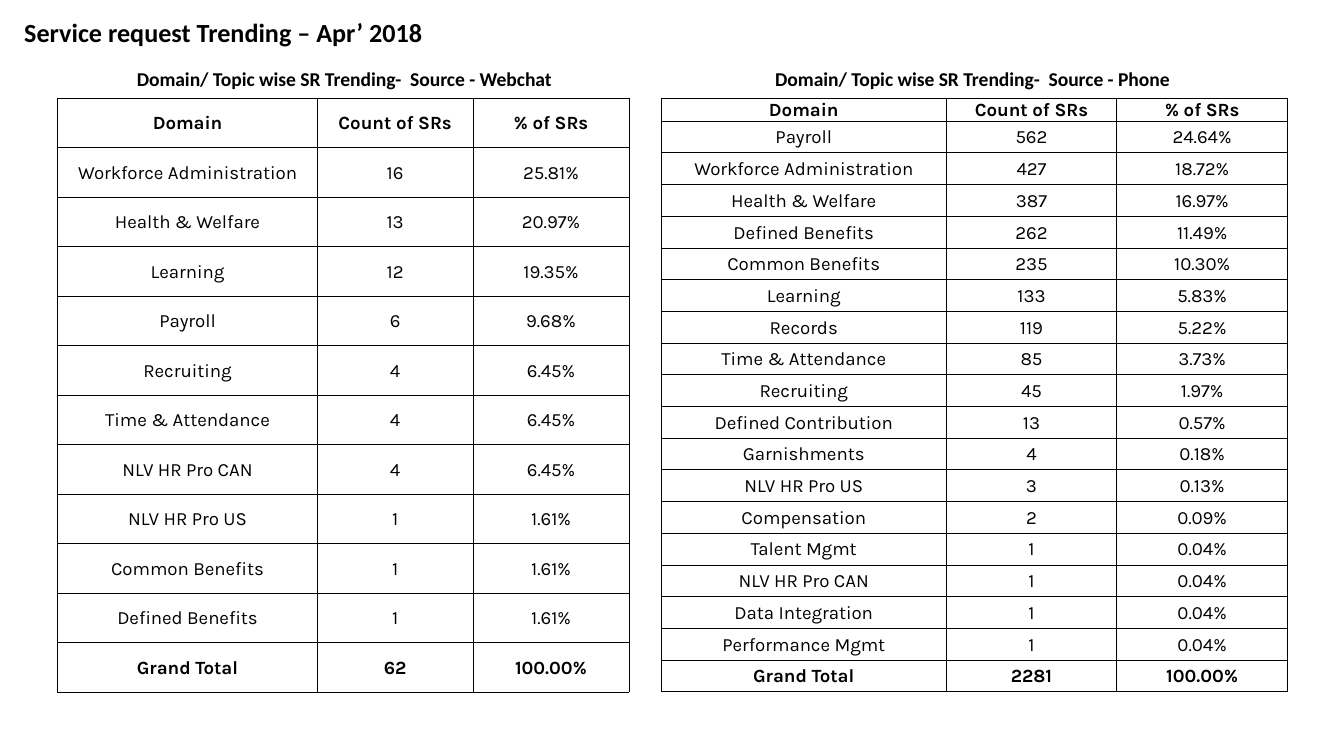
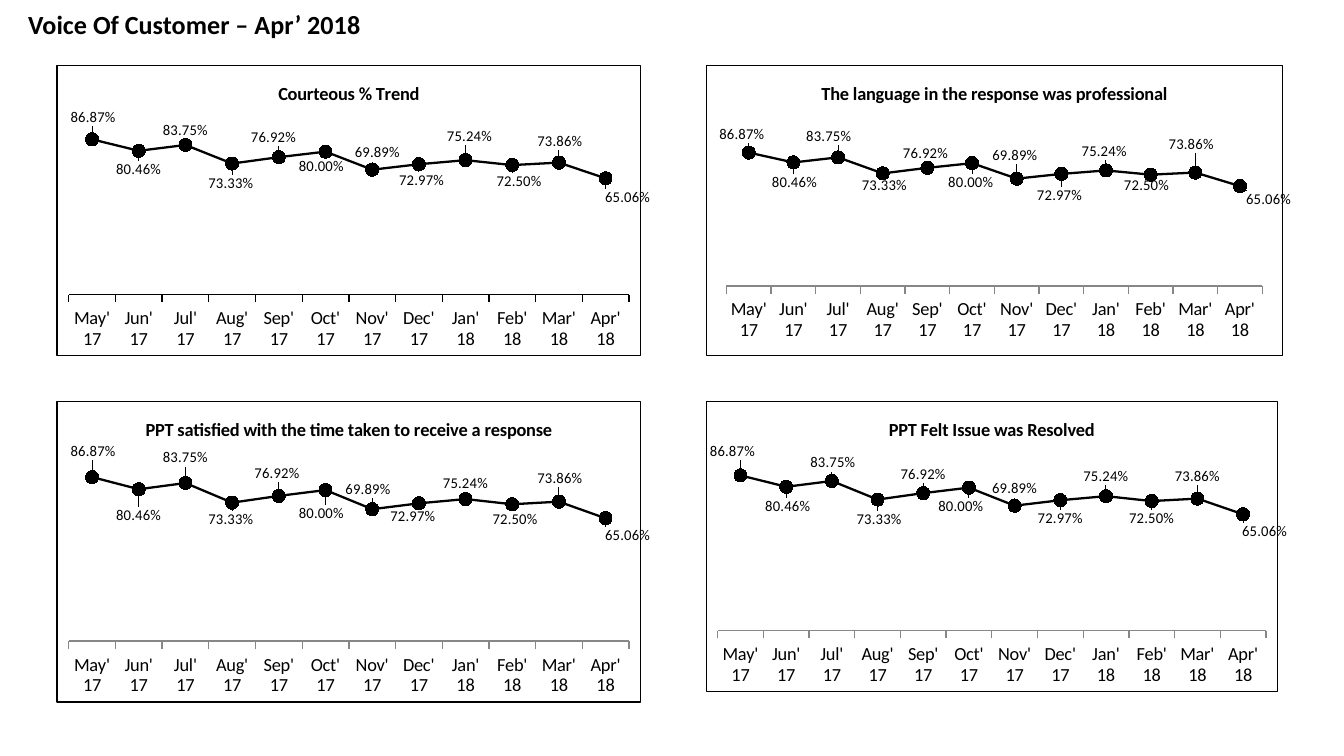
"""Build the April 2018 service request tables and customer feedback trends."""
import pptx
import pptx.chart.data
import pptx.dml.color
import pptx.enum.chart
import pptx.enum.text
import pptx.oxml
import pptx.oxml.ns
import pptx.util

Inches, Pt = pptx.util.Inches, pptx.util.Pt
ChartType = pptx.enum.chart.XL_CHART_TYPE
BLACK = pptx.dml.color.RGBColor(0, 0, 0)
WIDTH = 10
HEIGHT = WIDTH * 9 / 16
HEADING_FONT, TABLE_FONT = "Calibri", "Karla"

HEADER = ("Domain", "Count of SRs", "% of SRs")
PHONE = [
    ("Payroll", "562", "24.64%"),
    ("Workforce Administration", "427", "18.72%"),
    ("Health & Welfare", "387", "16.97%"),
    ("Defined Benefits", "262", "11.49%"),
    ("Common Benefits", "235", "10.30%"),
    ("Learning", "133", "5.83%"),
    ("Records", "119", "5.22%"),
    ("Time & Attendance", "85", "3.73%"),
    ("Recruiting", "45", "1.97%"),
    ("Defined Contribution", "13", "0.57%"),
    ("Garnishments", "4", "0.18%"),
    ("NLV HR Pro US", "3", "0.13%"),
    ("Compensation", "2", "0.09%"),
    ("Talent Mgmt", "1", "0.04%"),
    ("NLV HR Pro CAN", "1", "0.04%"),
    ("Data Integration", "1", "0.04%"),
    ("Performance Mgmt", "1", "0.04%"),
    ("Grand Total", "2281", "100.00%"),
]
WEBCHAT = [
    ("Workforce Administration", "16", "25.81%"),
    ("Health & Welfare", "13", "20.97%"),
    ("Learning", "12", "19.35%"),
    ("Payroll", "6", "9.68%"),
    ("Recruiting", "4", "6.45%"),
    ("Time & Attendance", "4", "6.45%"),
    ("NLV HR Pro CAN", "4", "6.45%"),
    ("NLV HR Pro US", "1", "1.61%"),
    ("Common Benefits", "1", "1.61%"),
    ("Defined Benefits", "1", "1.61%"),
    ("Grand Total", "62", "100.00%"),
]
TABLE_TOP, TABLE_HEIGHT = 0.73, 4.42
SOURCES = [
    {"name": "Phone", "rows": PHONE, "left": 4.92, "columns": (2.12, 1.27, 1.27),
     "header_height": 0.09, "body_height": 4.25, "caption_left": 5.67},
    {"name": "Webchat", "rows": WEBCHAT, "left": 0.43, "columns": (1.93, 1.16, 1.16),
     "header_height": 0.37, "body_height": 4.05, "caption_left": 0.92},
]

MONTHS = [f"{month}' {year}" for year, months in
          (("17", "May Jun Jul Aug Sep Oct Nov Dec"), ("18", "Jan Feb Mar Apr"))
          for month in months.split()]
SCORES = (0.8687, 0.8046, 0.8375, 0.7333, 0.7692, 0.8,
          0.6989, 0.7297, 0.7524, 0.725, 0.7386, 0.6506)
LEFT, RIGHT, UPPER, LOWER = 0.42, 5.25, 0.48, 2.98
TRENDS = [
    {"title": "Courteous % Trend", "kind": ChartType.LINE_MARKERS,
     "box": (LEFT, UPPER, 4.42, 2.17), "axis_color": BLACK,
     "label_shifts": [(0.2, -7.5), (0, 6.5), (0, -4.8), (-0.2, 6.8), (-0.9, -6.8), (-0.7, 5.1),
                      (0.9, -5.8), (0.5, 5.5), (0.7, -8.2), (1.2, 5.8), (0.2, -7.2), (3.8, 6.5)]},
    {"title": "The language in the response was professional",
     "kind": ChartType.LINE_MARKERS_STACKED,
     "box": (RIGHT, UPPER, 4.36, 2.17), "plot": (0.035, 0.232, 0.93, 0.529),
     "label_shifts": [(-1.2, -6.2), (0.2, 6.8), (-1.6, -7.2), (0.3, 4.1), (-0.3, -4.8), (-0.2, 6.8),
                      (-0.3, -7.9), (-0.3, 7.5), (-0.3, -6.5), (-0.7, 3.8), (-0.7, -9.6), (5, 4.5)]},
    {"title": "PPT satisfied with the time taken to receive a response",
     "kind": ChartType.LINE_MARKERS_STACKED, "box": (LEFT, LOWER, 4.42, 2.25),
     "label_shifts": [(0.2, -8.6), (0, 8.6), (0, -8.3), (-0.2, 5.6), (-0.3, -7.6), (-0.7, 7.9),
                      (-0.7, -6.6), (-1, 4.3), (0, -5.3), (0.5, 5), (0.2, -7.6), (3.8, 5.6)]},
    {"title": "PPT Felt Issue was Resolved",
     "kind": ChartType.LINE_MARKERS_STACKED, "box": (RIGHT, LOWER, 4.33, 2.17),
     "label_shifts": [(-1.4, -8.2), (0.3, 6.9), (0.2, -6.2), (0.3, 6.9), (0, -6.5), (-1.4, 6.5),
                      (0, -5.8), (0, 6.2), (0, -6.9), (0, 6.2), (0, -7.6), (3.8, 5.8)]},
]
NO_LEADER_LINES = (
    f'<c:extLst {pptx.oxml.ns.nsdecls("c")}><c:ext uri="{{CE6537A1-D6FC-4f65-9D91-7224C49458BB}}" '
    'xmlns:c15="http://schemas.microsoft.com/office/drawing/2012/chart">'
    '<c15:showLeaderLines val="0"/></c:ext></c:extLst>')


def style_font(font, size, bold=False, name=HEADING_FONT):
    font.size, font.bold, font.name = Pt(size), bold, name
    font.color.rgb = BLACK


def outline(tag, points):
    return pptx.oxml.parse_xml(
        f'<{tag} {pptx.oxml.ns.nsdecls("a")} w="{Pt(points)}"><a:solidFill>'
        f'<a:srgbClr val="{BLACK}"/></a:solidFill></{tag}>')


def add_titled_slide(deck, title, box, inset, line_spacing=None):
    slide = deck.slides.add_slide(deck.slide_layouts[5])
    heading = slide.shapes.title
    heading.left, heading.top, heading.width, heading.height = map(Inches, box)
    frame = heading.text_frame
    frame.text = title
    frame.vertical_anchor = pptx.enum.text.MSO_ANCHOR.TOP
    frame.margin_left = frame.margin_right = Inches(inset)
    frame.margin_top = frame.margin_bottom = Inches(inset / 2)
    paragraph = frame.paragraphs[0]
    paragraph.alignment = pptx.enum.text.PP_ALIGN.LEFT
    paragraph.line_spacing = line_spacing
    style_font(paragraph.runs[0].font, 14, True)
    return slide


def fill_cell(cell, text, bold):
    cell.text = text
    cell.vertical_anchor = pptx.enum.text.MSO_ANCHOR.MIDDLE
    cell.margin_left = cell.margin_right = cell.margin_top = Inches(0.01)
    cell.margin_bottom = 0
    paragraph = cell.text_frame.paragraphs[0]
    paragraph.alignment = pptx.enum.text.PP_ALIGN.CENTER
    style_font(paragraph.runs[0].font, 10, bold, TABLE_FONT)
    properties = cell._tc.get_or_add_tcPr()
    for side in "LRTB":
        properties.append(outline(f"a:ln{side}", 0.5))
    cell.fill.background()


def add_source(slide, source):
    rows = [HEADER] + source["rows"]
    columns = source["columns"]
    holder = slide.shapes.add_table(
        len(rows), len(columns), Inches(source["left"]), Inches(TABLE_TOP),
        Inches(sum(columns)), Inches(TABLE_HEIGHT))
    table = holder.table
    table.first_row = table.horz_banding = False
    for column, width in zip(table.columns, columns):
        column.width = Inches(width)
    row_height = source["body_height"] / len(source["rows"])
    for r, texts in enumerate(rows):
        table.rows[r].height = Inches(row_height if r else source["header_height"])
        for c, text in enumerate(texts):
            fill_cell(table.cell(r, c), text, r in (0, len(rows) - 1))
    holder.height = Inches(TABLE_HEIGHT)

    left = source["caption_left"]
    caption = slide.shapes.add_textbox(
        Inches(left), Inches(0.45), Inches(min(5, WIDTH - left)), Inches(0.28)).text_frame
    caption.word_wrap = True
    caption.text = f"Domain/ Topic wise SR Trending-  Source - {source['name']}"
    style_font(caption.paragraphs[0].runs[0].font, 10.5, True)


def manual_layout(**settings):
    parts = "".join(f'<c:{tag} val="{value}"/>' for tag, value in settings.items())
    return pptx.oxml.parse_xml(
        f'<c:layout {pptx.oxml.ns.nsdecls("c")}><c:manualLayout>{parts}</c:manualLayout></c:layout>')


def place_plot(chart, plot):
    area = chart._chartSpace.chart.plotArea
    for layout in area.findall(pptx.oxml.ns.qn("c:layout")):
        area.remove(layout)
    x, y, w, h = plot
    area.insert(0, manual_layout(layoutTarget="inner", xMode="edge", yMode="edge",
                                 x=x, y=y, w=w, h=h))


def add_border(chart):
    properties = pptx.oxml.parse_xml(
        f'<c:spPr {pptx.oxml.ns.nsdecls("c", "a")}><a:noFill/></c:spPr>')
    properties.append(outline("a:ln", 0.75))
    chart._chartSpace.chart.addnext(properties)


def style_series(series, label_shifts):
    series.smooth = False
    series.format.line.color.rgb = BLACK
    series.format.line.width = Pt(1.25)
    marker = series.marker
    marker.style, marker.size = pptx.enum.chart.XL_MARKER_STYLE.CIRCLE, 7
    marker.format.fill.solid()
    marker.format.fill.fore_color.rgb = BLACK
    marker.format.line.color.rgb = BLACK
    labels = series.data_labels
    labels.show_value = True
    labels.number_format, labels.number_format_is_linked = "0.00%", False
    labels.position = pptx.enum.chart.XL_LABEL_POSITION.CENTER
    style_font(labels.font, 8)
    for index, (dx, dy) in enumerate(label_shifts):
        label = series.points[index].data_label
        style_font(label.font, 8)
        label.position = pptx.enum.chart.XL_LABEL_POSITION.CENTER
        label._dLbl.insert(1, manual_layout(x=round(dx / 100, 3), y=round(dy / 100, 3)))
    labels._element.append(pptx.oxml.parse_xml(NO_LEADER_LINES))


def add_trend(slide, trend):
    scores = pptx.chart.data.CategoryChartData(number_format="0.00%")
    scores.categories = MONTHS
    scores.add_series("Series 1", SCORES)
    chart = slide.shapes.add_chart(trend["kind"], *map(Inches, trend["box"]), scores).chart
    style_font(chart.font, 10)
    chart.has_legend = False
    chart.has_title = True
    chart.chart_title.include_in_layout = False
    title = chart.chart_title.text_frame
    title.text = trend["title"]
    style_font(title.paragraphs[0].runs[0].font, 10, True)
    chart.plots[0].vary_by_categories = False

    months = chart.category_axis
    months.has_major_gridlines = False
    months.major_tick_mark = pptx.enum.chart.XL_TICK_MARK.OUTSIDE
    if "axis_color" in trend:
        months.format.line.color.rgb = trend["axis_color"]
        months.format.line.width = Pt(0.75)
    share = chart.value_axis
    share.visible = share.has_major_gridlines = False
    share.minimum_scale, share.maximum_scale = 0, 1
    share.tick_labels.number_format = "0.00%"
    share.tick_labels.number_format_is_linked = False

    style_series(chart.plots[0].series[0], trend["label_shifts"])
    if "plot" in trend:
        place_plot(chart, trend["plot"])
    add_border(chart)


def main():
    deck = pptx.Presentation()
    deck.slide_width, deck.slide_height = Inches(WIDTH), Inches(HEIGHT)
    requests = add_titled_slide(deck, "Service request Trending – Apr’ 2018",
                                (0.18, -0.09, 9, 0.49), 0, Pt(32))
    for source in SOURCES:
        add_source(requests, source)
    feedback = add_titled_slide(deck, "Voice Of Customer – Apr’ 2018",
                                (0.11, 0.01, 3.61, 0.34), 0.1)
    for trend in TRENDS:
        add_trend(feedback, trend)
    deck.save("out.pptx")


if __name__ == "__main__":
    main()
